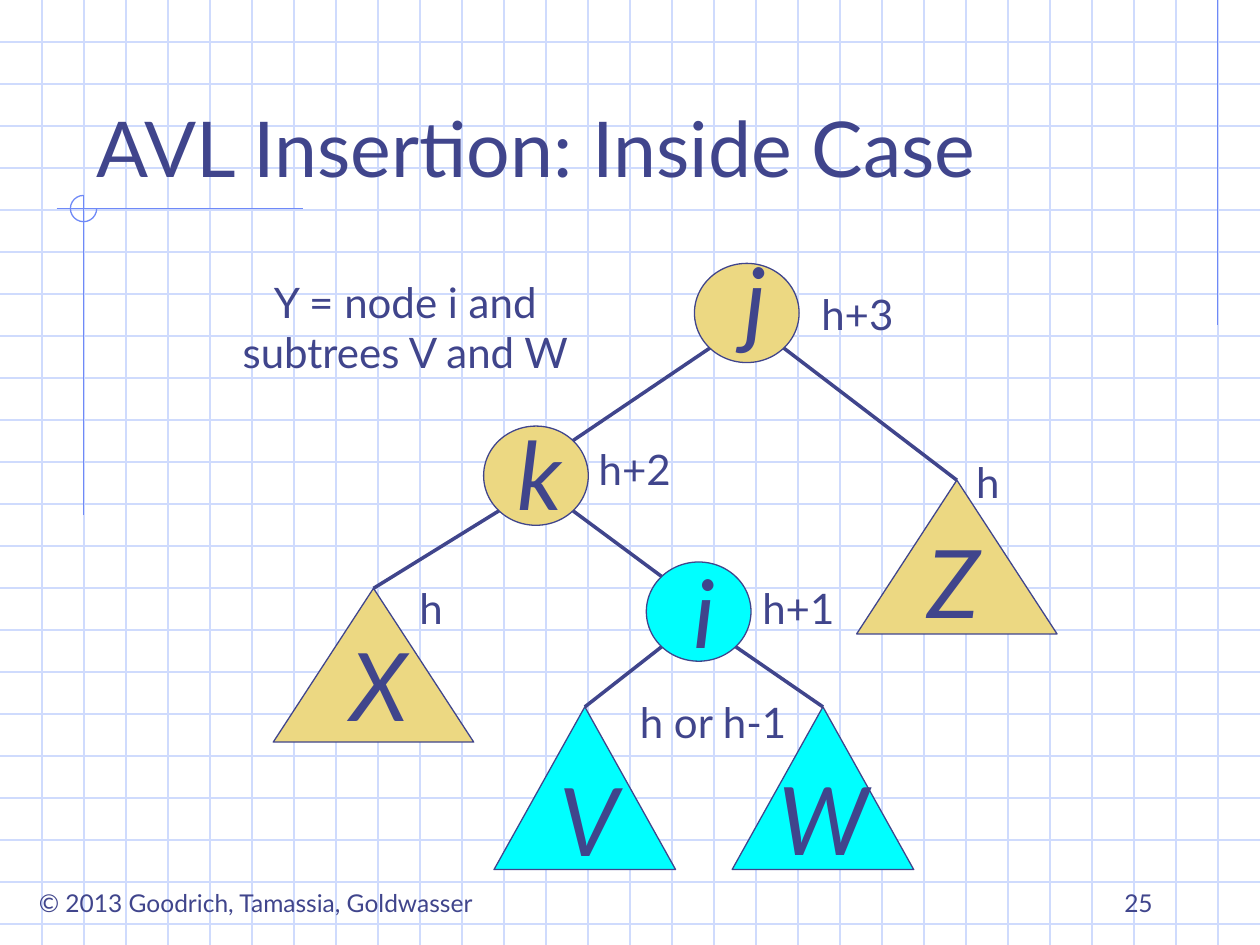
from math import sqrt
from lxml.etree import SubElement
from pptx import Presentation
from pptx.dml.color import RGBColor
from pptx.enum.shapes import MSO_CONNECTOR, MSO_SHAPE
from pptx.enum.text import MSO_ANCHOR, MSO_AUTO_SIZE, PP_ALIGN
from pptx.oxml.ns import qn
from pptx.util import Cm, Pt

FONT = "Lato"
COLORS = {"ink": "40458C", "grid": "CFDBFD", "rule": "6F89F7",
          "sand": "ECD882", "cyan": "00FFFF"}
WIDTH, HEIGHT = 25.4, 19.05
GRID_STEP = 2.54 / 3
NODE_W, NODE_H = 2.11, 2.0
LETTER_W, LETTER_H = 1.3, 2.54

NODES = {
    "j": (14.0, 5.31, "sand"),
    "k": (9.75, 8.59, "sand"),
    "i": (13.03, 11.33, "cyan"),
}
SUBTREES = {
    "X": (5.51, 11.86, 4.04, 3.1, "sand"),
    "Z": (17.27, 9.68, 4.04, 3.1, "sand"),
    "V": (9.96, 14.25, 3.66, 3.28, "cyan"),
    "W": (14.76, 14.25, 3.66, 3.28, "cyan"),
}
CHILDREN = {"j": ("k", "Z"), "k": ("X", "i"), "i": ("V", "W")}
LETTERS = {
    "j": (14.58, 4.75), "k": (10.19, 8.26), "i": (13.56, 11.05),
    "X": (6.81, 12.52), "Z": (18.44, 10.44),
    "V": (11.02, 15.24), "W": (15.44, 15.21),
}
LABELS = [
    ("Y = node i and\nsubtrees V and W", 4.45, 5.44, 7.44, 2.29),
    ("h+3", 16.28, 5.69, 2.01, 1.27),
    ("h+2", 11.79, 8.81, 2.01, 1.27),
    ("h+1", 15.09, 11.61, 2.01, 1.27),
    ("h", 19.46, 9.07, 0.91, 1.27),
    ("h", 8.18, 11.61, 1.02, 1.27),
    ("h or h-1", 12.57, 13.92, 3.61, 1.27),
]


def rgb(name):
    return RGBColor.from_string(COLORS[name])


def add_line(s, start, end, color, width):
    line = s.shapes.add_connector(
        MSO_CONNECTOR.STRAIGHT, *(Cm(v) for v in (*start, *end)))
    line.line.color.rgb = rgb(color)
    line.line.width = Pt(width)
    SubElement(line._element.spPr, qn("a:effectLst"))


def add_outline(s, kind, box, line_color, fill=None):
    sp = s.shapes.add_shape(kind, *(Cm(v) for v in box))
    sp.shadow.inherit = False
    if fill:
        sp.fill.solid()
        sp.fill.fore_color.rgb = rgb(fill)
    else:
        sp.fill.background()
    sp.line.color.rgb = rgb(line_color)
    sp.line.width = Pt(0.75)
    return sp


def style_text(tf, text, size, align, italic=False):
    tf.auto_size = MSO_AUTO_SIZE.NONE
    tf.text = text
    for p in tf.paragraphs:
        p.alignment = align
        p.font.name = FONT
        p.font.size = Pt(size)
        p.font.italic = italic
        p.font.color.rgb = rgb("ink")


def add_text(s, text, box, size, align=PP_ALIGN.CENTER, italic=False,
             wrap=False, anchor=MSO_ANCHOR.TOP):
    tf = s.shapes.add_textbox(*(Cm(v) for v in box)).text_frame
    tf.word_wrap = wrap
    tf.vertical_anchor = anchor
    style_text(tf, text, size, align, italic)


def add_background(s):
    for i in range(1, int(HEIGHT / GRID_STEP) + 1):
        add_line(s, (0, i * GRID_STEP), (WIDTH, i * GRID_STEP), "grid", 0.75)
    for i in range(1, round(WIDTH / GRID_STEP)):
        add_line(s, (i * GRID_STEP, 0), (i * GRID_STEP, HEIGHT), "grid", 0.75)
    add_line(s, (24.55, 0), (24.55, 6.55), "rule", 0.75)
    add_line(s, (1.14, 4.21), (6.1, 4.21), "rule", 0.75)
    add_line(s, (1.69, 3.94), (1.69, 10.39), "rule", 0.75)
    arc = add_outline(s, MSO_SHAPE.ARC, (1.42, 3.94, 0.53, 0.53), "rule")
    arc.adjustments[0] = 0
    arc.adjustments[1] = 162


def add_title(s, text):
    title = s.shapes.title
    title.left, title.top = Cm(1.69), Cm(0.85)
    title.width, title.height = Cm(21.59), Cm(3.17)
    title.text_frame.vertical_anchor = MSO_ANCHOR.BOTTOM
    style_text(title.text_frame, text, 44, PP_ALIGN.LEFT)
    title._element.getparent().append(title._element)


def node_corner(name, dx, dy):
    left, top, _ = NODES[name]
    return (left + NODE_W / 2 * (1 + dx / sqrt(2)),
            top + NODE_H / 2 * (1 + dy / sqrt(2)))


def add_edge(s, parent, child, side):
    if child in NODES:
        end = node_corner(child, -side, -1)
    else:
        left, top, width, _, _ = SUBTREES[child]
        end = (left + width / 2, top)
    add_line(s, node_corner(parent, side, 1), end, "ink", 2)


def add_tree(s):
    for left, top, fill in NODES.values():
        add_outline(s, MSO_SHAPE.OVAL, (left, top, NODE_W, NODE_H), "ink", fill)
    for *box, fill in SUBTREES.values():
        add_outline(s, MSO_SHAPE.ISOSCELES_TRIANGLE, box, "ink", fill)
    for parent, children in CHILDREN.items():
        for child, side in zip(children, (-1, 1)):
            add_edge(s, parent, child, side)
    for letter, (left, top) in LETTERS.items():
        add_text(s, letter, (left, top, LETTER_W, LETTER_H), 54,
                 italic=True, wrap=True)
    for text, *box in LABELS:
        add_text(s, text, box, 24)


def main():
    prs = Presentation()
    prs.slide_width, prs.slide_height = Cm(WIDTH), Cm(HEIGHT)
    s = prs.slides.add_slide(prs.slide_layouts[5])
    add_background(s)
    add_title(s, "AVL Insertion: Inside Case")
    add_tree(s)
    add_text(s, "© 2013 Goodrich, Tamassia, Goldwasser",
             (0.23, 17.78, 9.86, 0.86), 14)
    add_text(s, "25", (18.21, 17.35, 5.28, 1.27), 14, PP_ALIGN.RIGHT,
             wrap=True, anchor=MSO_ANCHOR.BOTTOM)
    prs.save("out.pptx")


if __name__ == "__main__":
    main()
